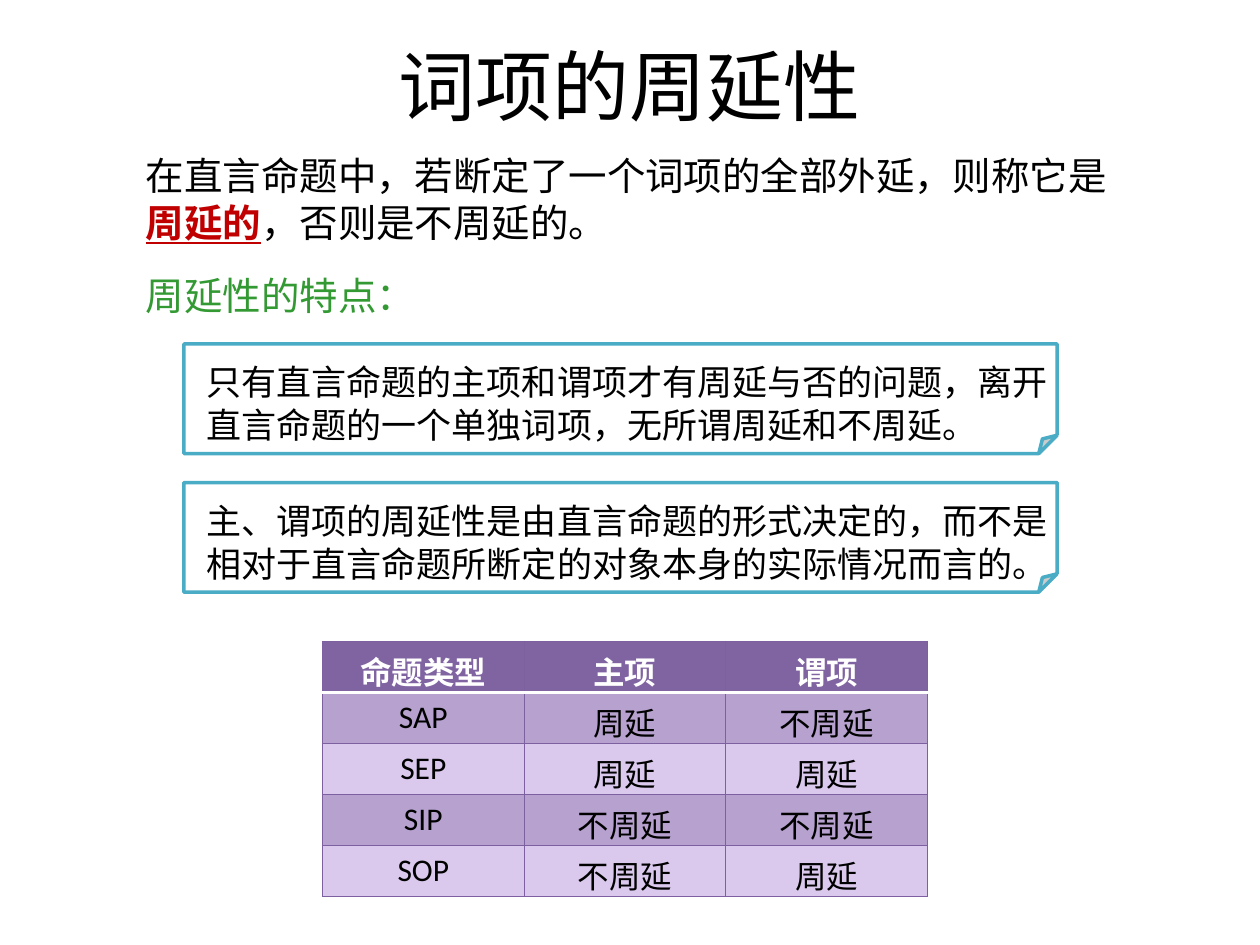
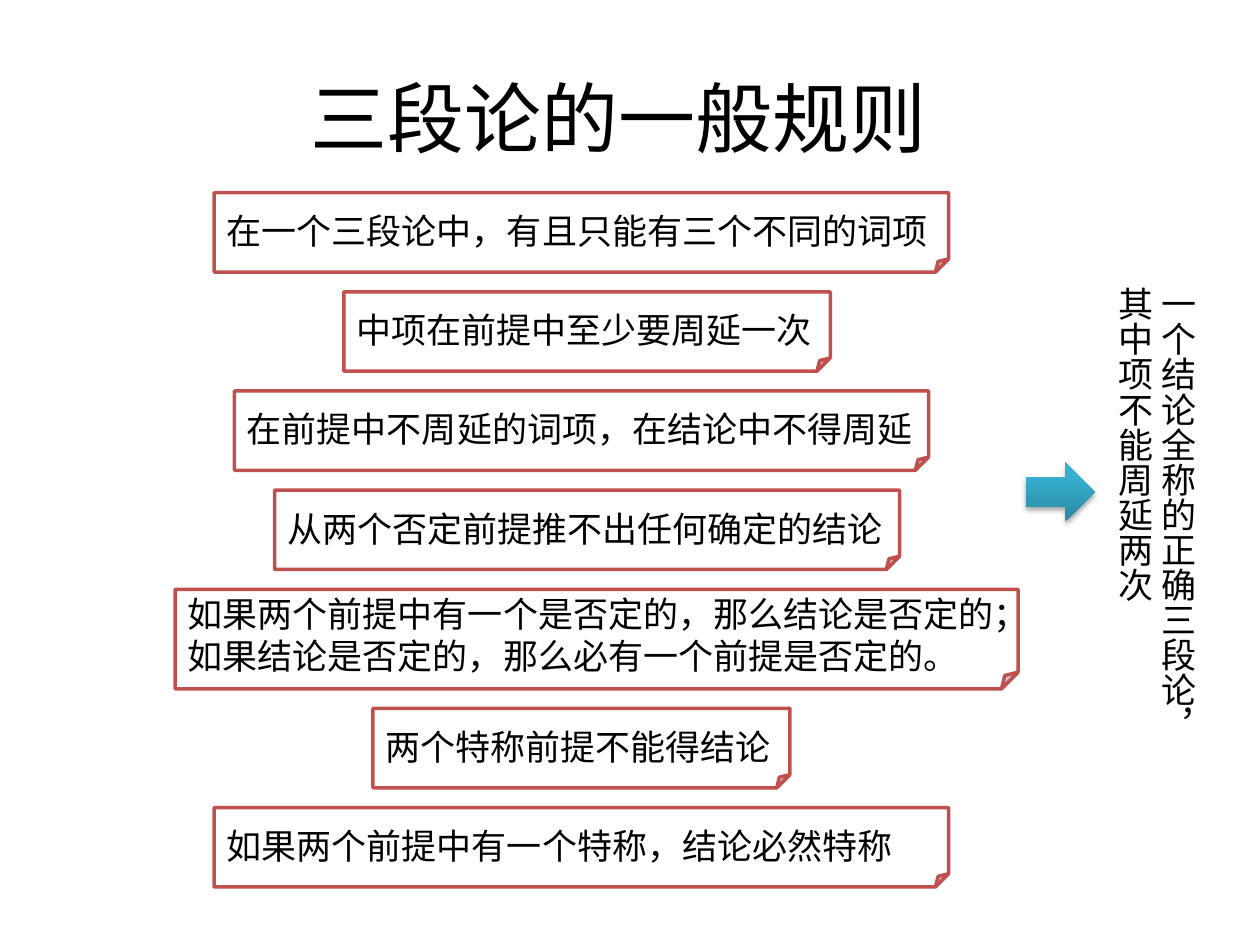
from lxml import etree
from pptx import Presentation
from pptx.dml.color import RGBColor
from pptx.enum.shapes import MSO_SHAPE as Shape
from pptx.enum.text import MSO_ANCHOR as Anchor, PP_ALIGN as Align
from pptx.oxml import parse_xml
from pptx.oxml.ns import nsdecls, qn
from pptx.util import Inches, Pt

BLACK = RGBColor(0x00, 0x00, 0x00)
WHITE = RGBColor(0xFF, 0xFF, 0xFF)
RED = RGBColor(0xC0, 0x00, 0x00)
GREEN = RGBColor(0x33, 0x99, 0x33)
TEAL = RGBColor(0x4B, 0xAC, 0xC6)
BRICK = RGBColor(0xC0, 0x50, 0x4D)
PURPLE = RGBColor(0x80, 0x64, 0xA2)
BORDER = RGBColor(0x7D, 0x60, 0xA0)
DARK_BAND = RGBColor(0xB6, 0xA1, 0xCF)
LIGHT_BAND = RGBColor(0xDA, 0xC9, 0xED)

HEADING_FONT = "Noto Sans CJK JP"
BODY_FONT = "Noto Sans CJK SC"
TABLE_FONT = "Calibri"
LINE_FACTOR = 1.22

FEATURES = [
    "只有直言命题的主项和谓项才有周延与否的问题，离开直言命题的一个单独词项，无所谓周延和不周延。",
    "主、谓项的周延性是由直言命题的形式决定的，而不是相对于直言命题所断定的对象本身的实际情况而言的。",
]
DISTRIBUTION = [
    ["命题类型", "主项", "谓项"],
    ["SAP", "周延", "不周延"],
    ["SEP", "周延", "周延"],
    ["SIP", "不周延", "不周延"],
    ["SOP", "不周延", "周延"],
]
# left, width, height, text
RULES = [
    (1.7, 5.83, 0.63, "在一个三段论中，有且只能有三个不同的词项"),
    (2.73, 3.86, 0.63, "中项在前提中至少要周延一次"),
    (1.86, 5.51, 0.63, "在前提中不周延的词项，在结论中不得周延"),
    (2.18, 4.96, 0.63, "从两个否定前提推不出任何确定的结论"),
    (1.39, 6.69, 0.79, "如果两个前提中有一个是否定的，那么结论是否定的；"
                       "如果结论是否定的，那么必有一个前提是否定的。"),
    (2.96, 3.31, 0.63, "两个特称前提不能得结论"),
    (1.7, 5.83, 0.63, "如果两个前提中有一个特称，结论必然特称"),
]


def add_run(paragraph, text, size, color=BLACK, latin=BODY_FONT, east_asian=BODY_FONT,
            bold=False, underline=False):
    run = paragraph.add_run()
    run.text = text
    font = run.font
    font.name, font.size, font.bold, font.underline = latin, Pt(size), bold, underline
    font.color.rgb = color
    properties = run._r.get_or_add_rPr()
    properties.find(qn("a:latin")).addnext(
        parse_xml(f'<a:ea {nsdecls("a")} typeface="{east_asian}"/>'))


def add_text_frame(slide, left, top, width, height, anchor=Anchor.TOP):
    box = slide.shapes.add_textbox(Inches(left), Inches(top), Inches(width), Inches(height))
    box.text_frame.word_wrap = True
    box.text_frame.vertical_anchor = anchor
    return box.text_frame


def add_text(slide, box, text, size=20, anchor=Anchor.TOP, **style):
    frame = add_text_frame(slide, *box, anchor=anchor)
    paragraph = frame.paragraphs[0]
    paragraph.line_spacing = Pt(size * LINE_FACTOR)
    add_run(paragraph, text, size, **style)
    return frame


def add_title(slide, left, top, text):
    paragraph = add_text_frame(slide, left, top, 9, 1.25, Anchor.MIDDLE).paragraphs[0]
    paragraph.alignment = Align.CENTER
    add_run(paragraph, text, 44, latin=HEADING_FONT, east_asian=HEADING_FONT)


def add_note(slide, left, top, width, height, line_color):
    """Draw a white sheet with a folded corner."""
    note = slide.shapes.add_shape(
        Shape.FOLDED_CORNER, Inches(left), Inches(top), Inches(width), Inches(height))
    note.shadow.inherit = False
    note.fill.solid()
    note.fill.fore_color.rgb = WHITE
    note.line.color.rgb = line_color
    note.line.width = Pt(2)


def set_border(cell, side, color, points):
    cell._tc.get_or_add_tcPr().append(parse_xml(
        f'<a:{side} {nsdecls("a")} w="{Pt(points)}"><a:solidFill>'
        f'<a:srgbClr val="{color}"/></a:solidFill></a:{side}>'))


def style_cell(cell, text, row):
    is_header = row == 0
    cell.margin_bottom = 0
    paragraph = cell.text_frame.paragraphs[0]
    paragraph.alignment = Align.CENTER
    add_run(paragraph, text, 18, WHITE if is_header else BLACK, TABLE_FONT, bold=is_header)
    white_side = {0: "lnB", 1: "lnT"}.get(row)
    for side in ("lnL", "lnR", "lnT", "lnB"):
        if side == white_side:
            set_border(cell, side, WHITE, 2)
        else:
            set_border(cell, side, BORDER, 0.75)
    cell.fill.solid()
    cell.fill.fore_color.rgb = PURPLE if is_header else DARK_BAND if row % 2 else LIGHT_BAND


def add_distribution_table(slide, left, top, width, row_height):
    row_count, column_count = len(DISTRIBUTION), len(DISTRIBUTION[0])
    table = slide.shapes.add_table(
        row_count, column_count, Inches(left), Inches(top),
        Inches(width), Inches(row_height * row_count)).table
    for row, texts in enumerate(DISTRIBUTION):
        for column, text in enumerate(texts):
            style_cell(table.cell(row, column), text, row)


def add_rules(slide, top, bottom):
    """Stack the rule notes with equal gaps between top and bottom."""
    gap = (bottom - top - sum(rule[2] for rule in RULES)) / (len(RULES) - 1)
    for left, width, height, text in RULES:
        add_note(slide, left, top, width, height, BRICK)
        if height > 0.7:
            add_text(slide, (left, top, width - 0.08, height - 0.08), text,
                     anchor=Anchor.MIDDLE)
        else:
            add_text(slide, (left, top + 0.08, 6.14, 0.44), text)
        top += height + gap


def add_gradient_arrow(slide, left, top, width, height):
    arrow = slide.shapes.add_shape(
        Shape.RIGHT_ARROW, Inches(left), Inches(top), Inches(width), Inches(height))
    arrow.line.fill.background()
    arrow.fill.gradient()
    arrow.fill.gradient_angle = 90
    properties = arrow._element.spPr
    stops = properties.find(qn("a:gradFill")).find(qn("a:gsLst"))
    for stop in list(stops):
        stops.remove(stop)
    for percent, color in ((0, "2A88A2"), (80, "37B1D2"), (100, "34B4D6")):
        stop = etree.SubElement(stops, qn("a:gs"), pos=str(percent * 1000))
        etree.SubElement(stop, qn("a:srgbClr"), val=color)
    properties.append(parse_xml(
        f'<a:effectLst {nsdecls("a")}><a:outerShdw blurRad="{Pt(3.1)}" dist="{Pt(1.8)}" '
        'dir="5400000" rotWithShape="0"><a:srgbClr val="000000"><a:alpha val="35000"/>'
        '</a:srgbClr></a:outerShdw></a:effectLst>'))


def build_distribution_slide(slide):
    add_title(slide, 0.5, 0.05, "词项的周延性")
    definition = add_text(slide, (1.06, 1.15, 7.95, 0.84),
                          "在直言命题中，若断定了一个词项的全部外延，则称它是", 22).paragraphs[0]
    add_run(definition, "周延的", 22, RED, bold=True, underline=True)
    add_run(definition, "，否则是不周延的。", 22)
    add_text(slide, (1.06, 2.1, 2.4, 0.47), "周延性的特点：", 22, color=GREEN,
             latin=HEADING_FONT, east_asian=HEADING_FONT)
    for index, feature in enumerate(FEATURES):
        top = 2.73 + 1.1 * index
        add_note(slide, 1.46, top, 6.93, 0.87, TEAL)
        add_text(slide, (1.54, top + 0.08, 7.01, 0.77), feature)
    add_distribution_table(slide, 2.56, 5.09, 4.8, 0.405)


def build_rules_slide(slide):
    add_title(slide, 0.41, 0.3, "三段论的一般规则")
    add_rules(slide, 1.53, 7.04)
    corollary = add_text(slide, (8.69, 2.18, 0.88, 3.78),
                         "一个结论全称的正确三段论，其中项不能周延两次")
    corollary._txBody.bodyPr.set("vert", "eaVert")
    add_gradient_arrow(slide, 8.14, 3.67, 0.55, 0.47)


def main():
    presentation = Presentation()
    presentation.slide_width, presentation.slide_height = Inches(10), Inches(7.5)
    blank = presentation.slide_layouts[6]
    for build in (build_distribution_slide, build_rules_slide):
        build(presentation.slides.add_slide(blank))
    presentation.save("out.pptx")


if __name__ == "__main__":
    main()
